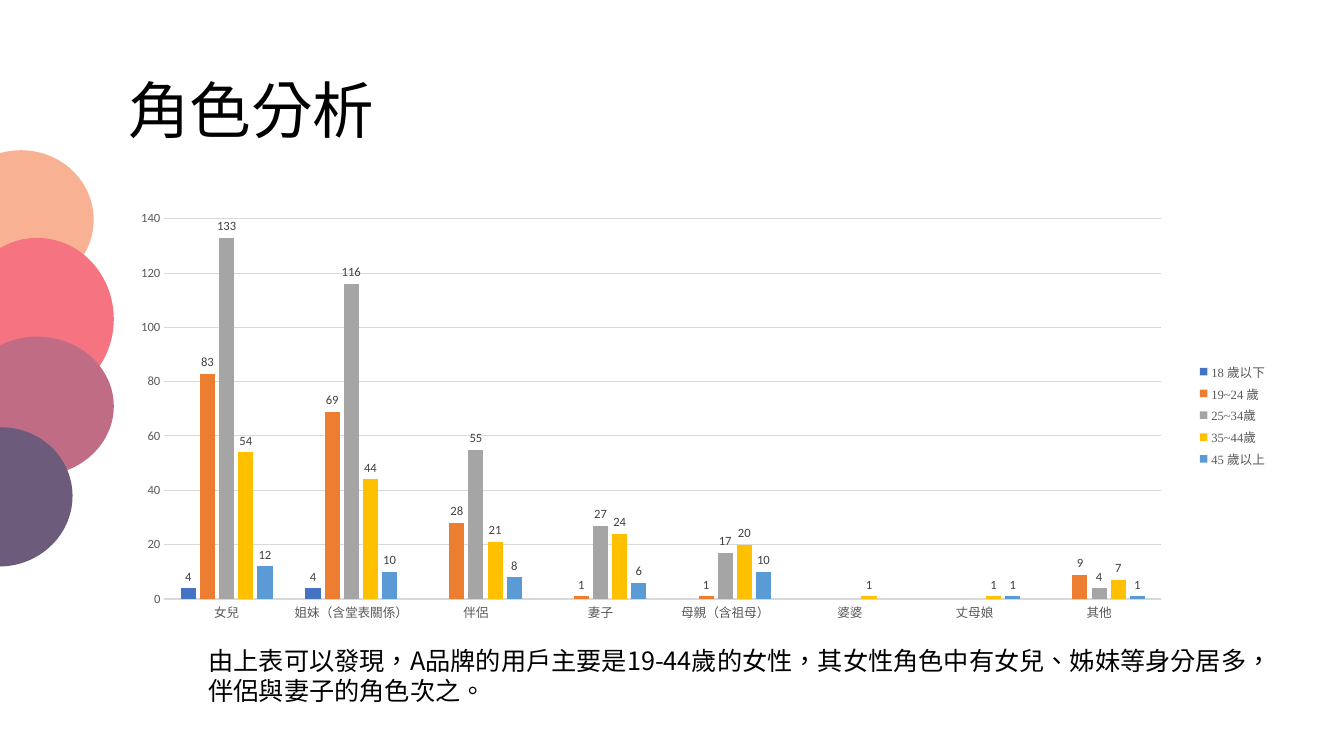
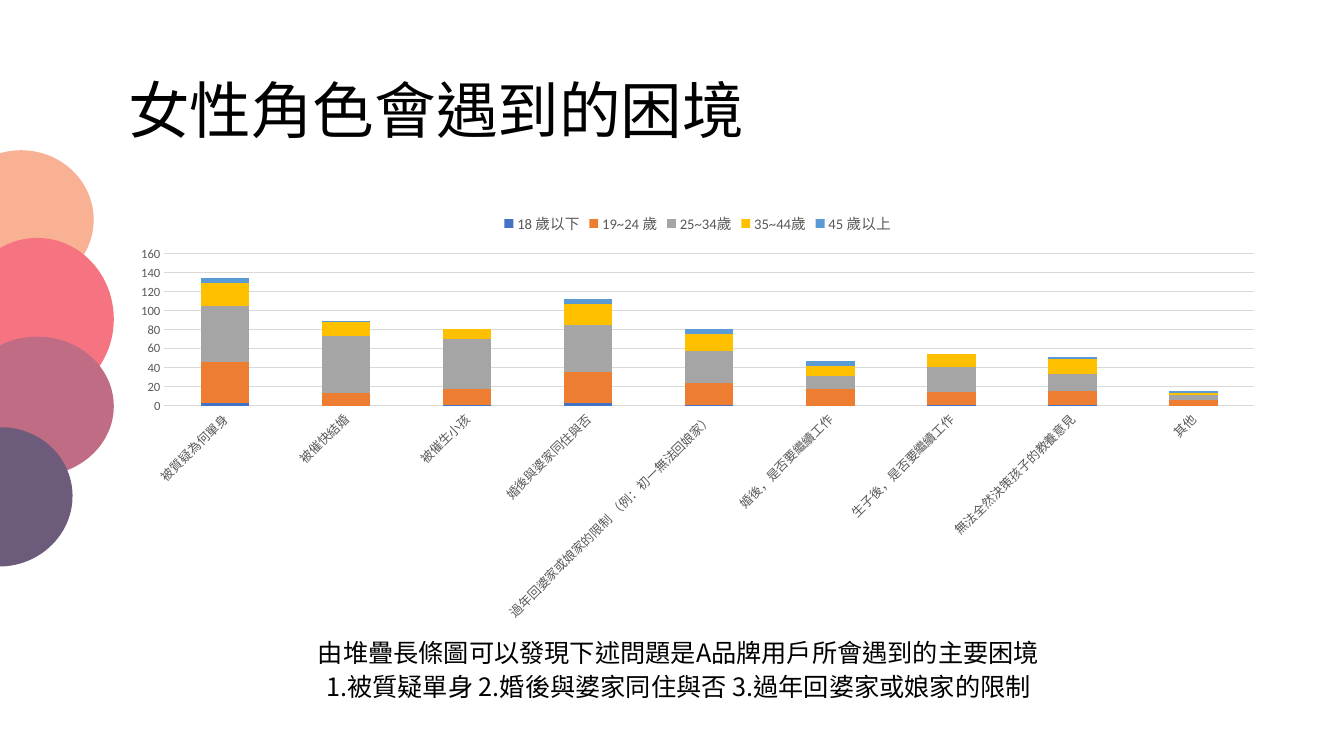
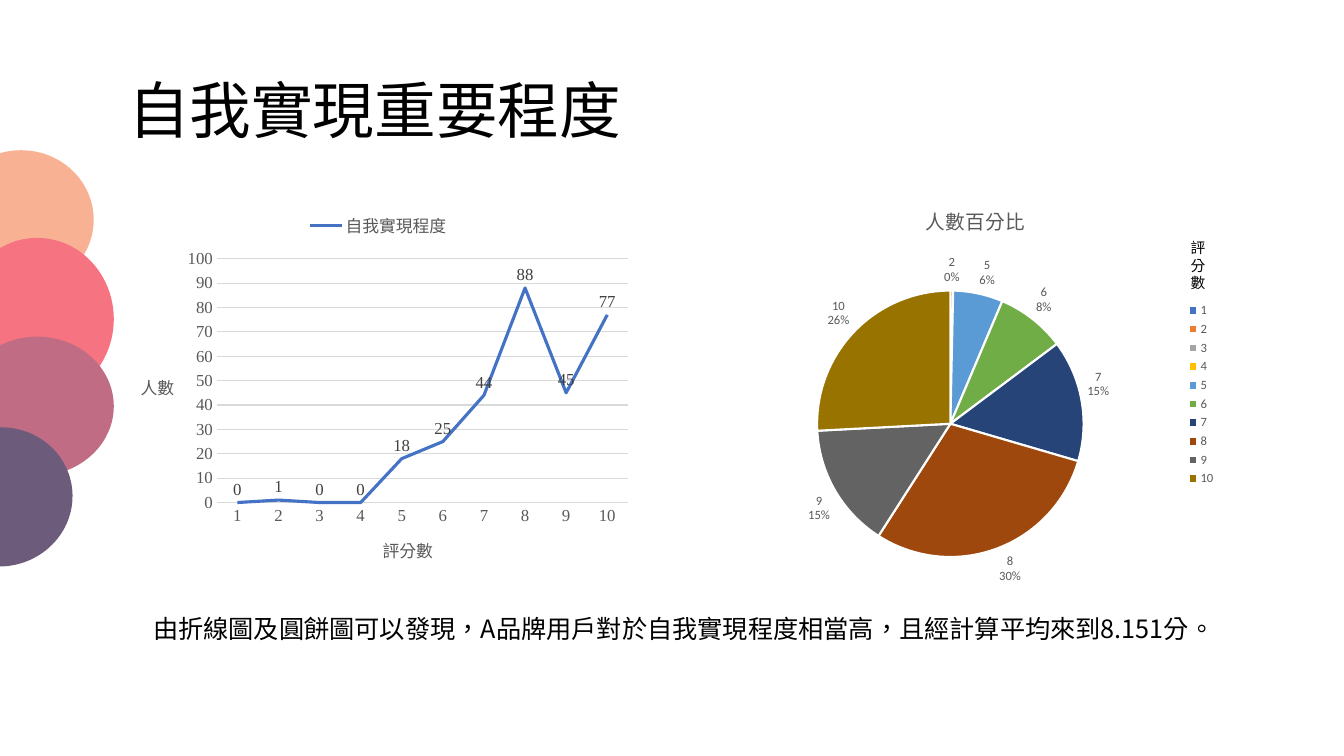
from dataclasses import dataclass
from typing import Optional

from lxml.etree import SubElement
from pptx import Presentation
from pptx.chart.chart import Chart
from pptx.chart.data import CategoryChartData
from pptx.dml.color import RGBColor
from pptx.enum.chart import XL_CHART_TYPE as ChartType
from pptx.enum.chart import XL_LABEL_POSITION as LabelPosition
from pptx.enum.chart import XL_LEGEND_POSITION as LegendPosition
from pptx.enum.chart import XL_TICK_MARK as TickMark
from pptx.enum.shapes import MSO_SHAPE as Preset
from pptx.enum.text import MSO_ANCHOR as Anchor
from pptx.enum.text import PP_ALIGN as Align
from pptx.oxml.ns import qn
from pptx.util import Inches, Pt

SLIDE_WIDTH, SLIDE_HEIGHT = Inches(13.33), Inches(7.5)
COLORS = {
    "text": "000000",
    "chart_text": "595959",
    "label": "404040",
    "grid": "D9D9D9",
    "white": "FFFFFF",
    "peach": "F9B193",
    "coral": "F67381",
    "mauve": "C06C84",
    "plum": "6D5B7B",
}
SERIES_COLORS = ["4472C4", "ED7D31", "A5A5A5", "FFC000", "5B9BD5",
                 "70AD47", "264478", "9E480E", "636363", "997300"]
SERIF, SANS, CJK, ARIAL = "Times New Roman", "Calibri", "Noto Sans CJK SC", "Arial"
LANGUAGE = "zh-TW"
AGES = ["18 歲以下", "19~24 歲", "25~34歲", "35~44歲", "45 歲以上"]
SCORES = [str(score) for score in range(1, 11)]
SCORE_COUNTS = [0, 1, 0, 0, 18, 25, 44, 88, 45, 77]


@dataclass(frozen=True)
class Box:
    """A rectangle in percent of the slide's width and height."""
    left: float
    top: float
    width: float
    height: float

    def lengths(self) -> tuple[int, int, int, int]:
        return (int(SLIDE_WIDTH * self.left / 100), int(SLIDE_HEIGHT * self.top / 100),
                int(SLIDE_WIDTH * self.width / 100), int(SLIDE_HEIGHT * self.height / 100))


@dataclass(frozen=True)
class Circle:
    box: Box
    color: str
    rotation: float = 0


@dataclass(frozen=True)
class Caption:
    box: Box
    lines: list[str]
    align: Align = Align.LEFT
    spacing: Optional[float] = None
    size: float = 18
    font: str = CJK


@dataclass(frozen=True)
class ChartSpec:
    """Plot is the inner plot area (left, top, width, height) in shares of the chart."""
    kind: ChartType
    box: Box
    categories: list[str]
    series: dict[str, list[Optional[int]]]
    legend: LegendPosition
    plot: Optional[tuple[float, float, float, float]] = None
    legend_size: float = 9
    legend_font: str = SANS
    font: str = SANS
    size: float = 9
    category_font: str = SANS
    scale: tuple[int, int] = (100, 10)
    gap: int = 150
    overlap: int = 0
    label_position: Optional[LabelPosition] = None
    label_rotation: Optional[int] = None
    title: str = ""
    axis_titles: tuple[str, ...] = ()


@dataclass(frozen=True)
class Page:
    title: str
    charts: list[ChartSpec]
    captions: list[Caption]


TITLE_BOX = Box(8.78, 5.33, 86.27, 19.33)
WIDE_CHART = Box(8.78, 26.67, 86.27, 56.53)
CIRCLES = [
    Circle(Box(-3.83, 19.87, 10.8, 18.4), "peach"),
    Circle(Box(-2.93, 31.47, 11.4, 21.47), "coral"),
    Circle(Box(-2.93, 44.53, 11.4, 18.4), "mauve"),
    Circle(Box(-5.4, 56.53, 10.8, 18.4), "plum", 351.1),
]

PAGES = [
    Page(
        "角色分析",
        [ChartSpec(
            ChartType.COLUMN_CLUSTERED, WIDE_CHART,
            ["女兒", "姐妹（含堂表關係）", "伴侶", "妻子", "母親（含祖母）", "婆婆", "丈母娘", "其他"],
            dict(zip(AGES, [
                [4, 4, None, None, None, None, None, None],
                [83, 69, 28, 1, 1, None, None, 9],
                [133, 116, 55, 27, 17, None, None, 4],
                [54, 44, 21, 24, 20, 1, 1, 7],
                [12, 10, 8, 6, 10, None, 1, 1],
            ])),
            LegendPosition.RIGHT, plot=(0.04, 0.04, 0.86, 0.89),
            legend_font=SERIF, category_font=CJK,
            scale=(140, 20), gap=219, overlap=-27,
            label_position=LabelPosition.OUTSIDE_END,
        )],
        [Caption(Box(14.78, 84.67, 81.47, 9.47),
                 ["由上表可以發現，A品牌的用戶主要是19-44歲的女性，"
                  "其女性角色中有女兒、姊妹等身分居多，伴侶與妻子的角色次之。"])],
    ),
    Page(
        "女性角色會遇到的困境",
        [ChartSpec(
            ChartType.COLUMN_STACKED, WIDE_CHART,
            ["被質疑為何單身", "被催快結婚", "被催生小孩", "婚後與婆家同住與否",
             "過年回婆家或娘家的限制 （例：初一無法回娘家）", "婚後，是否要繼續工作",
             "生子後，是否要繼續工作", "無法全然決策孩子的教養意見", "其他"],
            dict(zip(AGES, [
                [3, None, 1, 3, 1, None, 1, 1, None],
                [43, 13, 17, 33, 23, 18, 14, 15, 6],
                [59, 60, 52, 49, 34, 13, 26, 18, 5],
                [24, 15, 11, 22, 18, 11, 14, 15, 2],
                [6, 1, None, 5, 5, 5, None, 2, 3],
            ])),
            LegendPosition.TOP, legend_size=10.5, scale=(160, 20),
            overlap=100, label_rotation=-45,
        )],
        [Caption(Box(9.75, 83.2, 81.47, 10),
                 ["由堆疊長條圖可以發現下述問題是A品牌用戶所會遇到的主要困境",
                  "1.被質疑單身 2.婚後與婆家同住與否 3.過年回婆家或娘家的限制"],
                 Align.CENTER, 24)],
    ),
    Page(
        "自我實現重要程度",
        [ChartSpec(
            ChartType.LINE_STACKED, Box(8.78, 26.67, 38.71, 50.4),
            SCORES, {"自我實現程度": SCORE_COUNTS},
            LegendPosition.TOP, plot=(0.19, 0.15, 0.79, 0.64),
            legend_size=12, legend_font=SERIF, font=SERIF, size=12,
            category_font=SERIF, label_position=LabelPosition.ABOVE,
            axis_titles=("評分數", "人數"),
        ), ChartSpec(
            ChartType.PIE, Box(53.94, 24.67, 37.28, 55.07),
            SCORES, {"人數百分比": SCORE_COUNTS},
            LegendPosition.RIGHT, plot=(0.18, 0.25, 0.54, 0.64),
            label_position=LabelPosition.OUTSIDE_END, title="人數百分比",
        )],
        [Caption(Box(10.65, 80.53, 81.47, 9.47),
                 ["由折線圖及圓餅圖可以發現，A品牌用戶對於自我實現程度相當高，"
                  "且經計算平均來到8.151分。"]),
         Caption(Box(87.85, 30.93, 3.45, 8.4), ["評分數"], size=10.5, font=ARIAL)],
    ),
]


def rgb(color: str) -> RGBColor:
    return RGBColor.from_string(COLORS.get(color, color))


def style_font(font, name: str, size: float, color: str) -> None:
    font.name, font.size, font.bold = name, Pt(size), False
    font.color.rgb = rgb(color)


def style_paragraph(paragraph, name: str, size: float, color: str = "text") -> None:
    """Format the runs, with Traditional Chinese glyphs and line breaks."""
    for run in paragraph.runs:
        style_font(run.font, name, size, color)
        properties = run.font._element
        properties.set("lang", LANGUAGE)
        SubElement(properties, qn("a:ea")).set("typeface", CJK)


def add_circles_to_master(presentation, slide) -> None:
    """Draw the side circles and move them behind everything on the master."""
    tree = presentation.slide_master.shapes.element
    for position, circle in enumerate(CIRCLES, start=2):
        shape = slide.shapes.add_shape(Preset.OVAL, *circle.box.lengths())
        shape.shadow.inherit = False
        shape.fill.solid()
        shape.fill.fore_color.rgb = rgb(circle.color)
        shape.line.fill.background()
        shape.rotation = circle.rotation
        tree.insert(position, shape.element)


def set_title(slide, text: str) -> None:
    frame = slide.shapes.title.text_frame
    frame.text = text
    frame.vertical_anchor = Anchor.MIDDLE
    paragraph = frame.paragraphs[0]
    paragraph.alignment = Align.LEFT
    paragraph.line_spacing = 0.9
    style_paragraph(paragraph, SERIF, 44)


def add_caption(slide, caption: Caption) -> None:
    frame = slide.shapes.add_textbox(*caption.box.lengths()).text_frame
    frame.word_wrap = True
    frame.text = "\n".join(caption.lines)
    for paragraph in frame.paragraphs:
        paragraph.alignment = caption.align
        if caption.spacing:
            paragraph.line_spacing = Pt(caption.spacing)
        style_paragraph(paragraph, caption.font, caption.size)


def set_plot_area(chart: Chart, plot: tuple[float, float, float, float]) -> None:
    area = next(chart.element.iter(qn("c:plotArea")))
    for old_layout in area.findall(qn("c:layout")):
        area.remove(old_layout)
    layout = SubElement(area, qn("c:layout"))
    area.insert(0, layout)
    manual = SubElement(layout, qn("c:manualLayout"))
    settings = {"layoutTarget": "inner", "xMode": "edge", "yMode": "edge"}
    settings |= dict(zip("xywh", map(str, plot)))
    for tag, value in settings.items():
        SubElement(manual, qn(f"c:{tag}")).set("val", value)


def set_rotation(element, degrees: int) -> None:
    next(element.iter(qn("a:bodyPr"))).set("rot", str(degrees * 60000))


def style_axes(chart: Chart, spec: ChartSpec) -> None:
    category_axis, value_axis = chart.category_axis, chart.value_axis
    for axis, font in ((category_axis, spec.category_font), (value_axis, spec.font)):
        axis.major_tick_mark = axis.minor_tick_mark = TickMark.NONE
        style_font(axis.tick_labels.font, font, spec.size, "chart_text")
    value_axis.minimum_scale = 0
    value_axis.maximum_scale, value_axis.major_unit = spec.scale
    value_axis.format.line.fill.background()
    value_axis.has_major_gridlines = True
    for line in (category_axis.format.line, value_axis.major_gridlines.format.line):
        line.color.rgb = rgb("grid")
        line.width = Pt(0.75)
    if spec.label_rotation is not None:
        set_rotation(next(chart.element.iter(qn("c:catAx"))), spec.label_rotation)
    for axis, text in zip((category_axis, value_axis), spec.axis_titles):
        frame = axis.axis_title.text_frame
        frame.text = text
        style_paragraph(frame.paragraphs[0], spec.font, spec.size, "chart_text")
        set_rotation(axis.axis_title.element, 0)


def style_pie(series) -> None:
    """Colour the slices, break labels in two lines and hide those of empty slices."""
    for index, color in enumerate(SERIES_COLORS):
        slice_format = series.points[index].format
        slice_format.fill.solid()
        slice_format.fill.fore_color.rgb = rgb(color)
        slice_format.line.color.rgb = rgb("white")
        slice_format.line.width = Pt(1.5)
    labels = series.data_labels
    labels.show_value = False
    labels.show_percentage = labels.show_category_name = True
    element = next(series.format._element.iter(qn("c:dLbls")))
    separator = SubElement(element, qn("c:separator"))
    separator.text = "\n"
    element.find(qn("c:showBubbleSize")).addnext(separator)
    empty = [index for index, value in enumerate(series.values) if not value]
    for position, index in enumerate(empty):
        hidden = SubElement(element, qn("c:dLbl"))
        SubElement(hidden, qn("c:idx")).set("val", str(index))
        SubElement(hidden, qn("c:delete")).set("val", "1")
        element.insert(position, hidden)


def style_series(chart: Chart, spec: ChartSpec) -> None:
    is_pie, is_line = spec.kind == ChartType.PIE, spec.kind == ChartType.LINE_STACKED
    for series, color in zip(chart.plots[0].series, SERIES_COLORS):
        if spec.label_position is not None:
            labels = series.data_labels
            labels.show_value = True
            labels.position = spec.label_position
            style_font(labels.font, spec.font, spec.size, "chart_text" if is_pie else "label")
        if is_pie:
            style_pie(series)
        elif is_line:
            series.smooth = False
            series.format.line.color.rgb = rgb(color)
            series.format.line.width = Pt(2.25)
        else:
            series.format.fill.solid()
            series.format.fill.fore_color.rgb = rgb(color)


def add_chart(slide, spec: ChartSpec) -> None:
    data = CategoryChartData()
    data.categories = spec.categories
    for name, values in spec.series.items():
        data.add_series(name, values)
    chart = slide.shapes.add_chart(spec.kind, *spec.box.lengths(), data).chart
    style_font(chart.font, spec.font, 10, "text")
    chart.has_title = bool(spec.title)
    if spec.title:
        frame = chart.chart_title.text_frame
        frame.text = spec.title
        style_paragraph(frame.paragraphs[0], spec.font, 14, "chart_text")
    chart.has_legend = True
    chart.legend.position = spec.legend
    chart.legend.include_in_layout = False
    style_font(chart.legend.font, spec.legend_font, spec.legend_size, "chart_text")
    plot = chart.plots[0]
    plot.vary_by_categories = spec.kind == ChartType.PIE
    if spec.kind in (ChartType.COLUMN_CLUSTERED, ChartType.COLUMN_STACKED):
        plot.gap_width, plot.overlap = spec.gap, spec.overlap
    if spec.kind != ChartType.PIE:
        style_axes(chart, spec)
    style_series(chart, spec)
    if spec.plot:
        set_plot_area(chart, spec.plot)


def main() -> None:
    presentation = Presentation()
    presentation.slide_width, presentation.slide_height = SLIDE_WIDTH, SLIDE_HEIGHT
    layout = presentation.slide_layouts.get_by_name("Title Only")
    title = layout.placeholders[0]
    title.left, title.top, title.width, title.height = TITLE_BOX.lengths()
    for number, page in enumerate(PAGES):
        slide = presentation.slides.add_slide(layout)
        if number == 0:
            add_circles_to_master(presentation, slide)
        set_title(slide, page.title)
        for spec in page.charts:
            add_chart(slide, spec)
        for caption in page.captions:
            add_caption(slide, caption)
    presentation.save("out.pptx")


if __name__ == "__main__":
    main()
